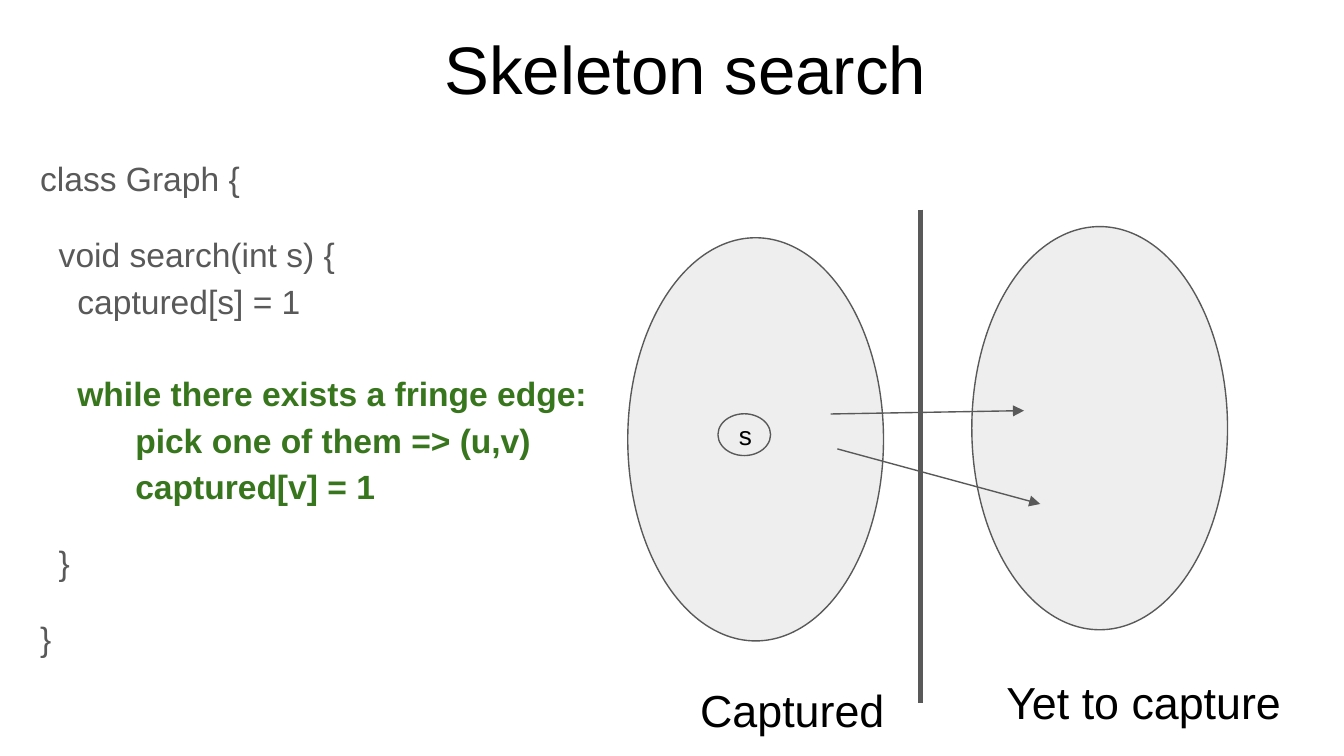
from lxml import etree
from pptx import Presentation
from pptx.dml.color import RGBColor
from pptx.enum.shapes import MSO_CONNECTOR, MSO_SHAPE as Preset
from pptx.enum.text import MSO_ANCHOR as Anchor, PP_ALIGN as Align
from pptx.oxml.ns import qn
from pptx.util import Pt

COLORS = {"text": "000000", "code": "595959", "highlight": "38761D",
          "fill": "EEEEEE", "line": "595959"}
FONT = "Arial"
INSET = 7.2

# Each code line: text, space before in points, highlighted or not
CODE = [
    ("class Graph {", 0, False),
    ("  void search(int s) {", 16, False),
    ("    captured[s] = 1", 0, False),
    ("    while there exists a fringe edge:", 24.8, True),
    ("\t   pick one of them => (u,v)", 0, True),
    ("\t   captured[v] = 1", 0, True),
    ("  }", 16, False),
    ("}", 16, False),
]


def color(name):
    return RGBColor.from_string(COLORS[name])


def format_runs(paragraph, size, color_name, bold=False):
    for run in paragraph.runs:
        run.font.name = FONT
        run.font.size = Pt(size)
        run.font.bold = bold
        run.font.color.rgb = color(color_name)


def set_frame(text_frame, anchor):
    text_frame.word_wrap = True
    text_frame.vertical_anchor = anchor
    text_frame.margin_left = text_frame.margin_right = Pt(INSET)
    text_frame.margin_top = text_frame.margin_bottom = Pt(INSET)


def add_text(slide, box, text, size, anchor=Anchor.TOP, align=Align.LEFT):
    text_frame = slide.shapes.add_textbox(*map(Pt, box)).text_frame
    set_frame(text_frame, anchor)
    text_frame.text = text
    paragraph = text_frame.paragraphs[0]
    paragraph.alignment = align
    format_runs(paragraph, size, "text")


def add_code(slide, box):
    text_frame = slide.shapes.add_textbox(*map(Pt, box)).text_frame
    set_frame(text_frame, Anchor.TOP)
    text_frame.text = "\n".join(text for text, _, _ in CODE)
    for paragraph, (_, space, highlighted) in zip(text_frame.paragraphs, CODE):
        paragraph.line_spacing = 1.15
        paragraph.space_before = Pt(space)
        format_runs(paragraph, 18, "highlight" if highlighted else "code", highlighted)


def add_oval(slide, preset, box, text=""):
    shape = slide.shapes.add_shape(preset, *map(Pt, box))
    shape.shadow.inherit = False
    shape.fill.solid()
    shape.fill.fore_color.rgb = color("fill")
    shape.line.color.rgb = color("line")
    shape.line.width = Pt(0.75)
    if text:
        set_frame(shape.text_frame, Anchor.MIDDLE)
        shape.text_frame.text = text
        paragraph = shape.text_frame.paragraphs[0]
        paragraph.alignment = Align.LEFT
        format_runs(paragraph, 14, "text")


def add_line(slide, start, end, width=0.75, arrow=False):
    line = slide.shapes.add_connector(MSO_CONNECTOR.STRAIGHT, *map(Pt, start + end))
    line.line.color.rgb = color("line")
    line.line.width = Pt(width)
    if arrow:
        etree.SubElement(line.line._get_or_add_ln(), qn("a:tailEnd"), type="triangle")
    etree.SubElement(line._element.spPr, qn("a:effectLst"))


def main():
    presentation = Presentation()
    presentation.slide_width, presentation.slide_height = Pt(720), Pt(405)
    slide = presentation.slides.add_slide(presentation.slide_layouts[6])

    # Title and code
    add_text(slide, (31.7, 2.9, 671, 66.2), "Skeleton search", 36,
             Anchor.MIDDLE, Align.CENTER)
    add_code(slide, (14.4, 74.2, 671, 269.3))

    # The two vertex sets and the cut between them
    for left, top in ((336.3, 127.4), (520.6, 121.4)):
        add_oval(slide, Preset.FLOWCHART_CONNECTOR, (left, top, 137, 216))
    add_line(slide, (493.2, 112.3), (493.2, 376.6), width=3)
    add_text(slide, (368, 358.6, 117.4, 36), "Captured", 24)
    add_text(slide, (532, 354.2, 182.2, 22.3), "Yet to capture", 24)

    # Fringe edges and the start vertex
    add_line(slide, (445, 221.8), (548.6, 220), arrow=True)
    add_line(slide, (448.6, 240.5), (557.3, 270), arrow=True)
    add_oval(slide, Preset.OVAL, (384.6, 221.7, 28.2, 22.4), "s")

    presentation.save("out.pptx")


if __name__ == "__main__":
    main()
